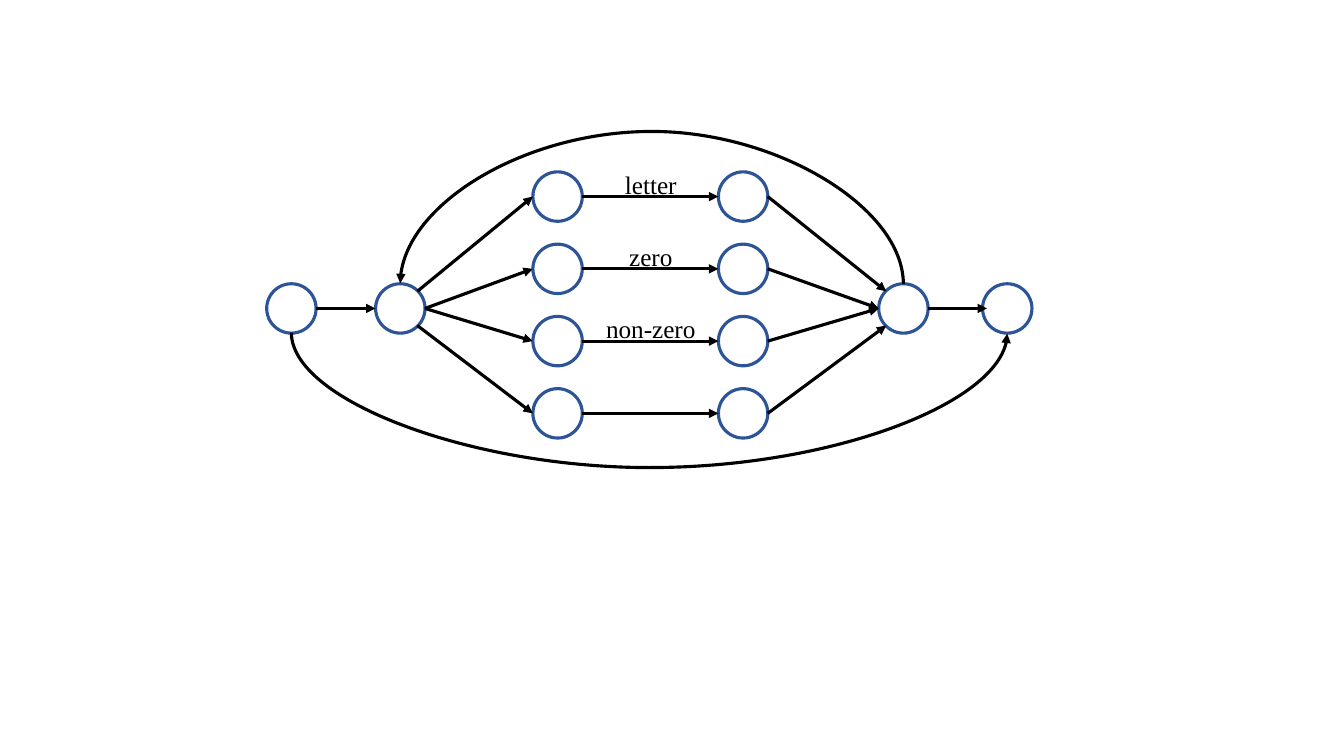
import pptx
import pptx.util
import pptx.dml.color
import pptx.enum.shapes
import pptx.enum.text
import pptx.oxml
import pptx.oxml.ns
from pptx.util import Inches

BLACK, BLUE, WHITE = "000000", "2D5496", "FFFFFF"
SIZE = 0.49
HALF = SIZE / 2
DIAG = 0.17  # offset of a point at 45 degrees on a state's rim
MID = 3.06
TOP, STEP = 1.95, 0.717
START, ENTRY, LEFT, RIGHT, EXIT, FINAL = 2.89, 3.97, 5.53, 7.37, 8.96, 9.99
LABELS = ["letter", "zero", "non-zero", ""]
KINDS = pptx.enum.shapes.MSO_CONNECTOR


def color(code):
    return pptx.dml.color.RGBColor.from_string(code)


def state(slide, x, y):
    """Draw a state circle centred on x, y."""
    oval = slide.shapes.add_shape(
        pptx.enum.shapes.MSO_SHAPE.OVAL,
        Inches(x - HALF), Inches(y - HALF), Inches(SIZE), Inches(SIZE))
    oval.shadow.inherit = False
    oval.fill.solid()
    oval.fill.fore_color.rgb = color(WHITE)
    oval.line.color.rgb = color(BLUE)
    oval.line.width = pptx.util.Pt(2.25)


def arrow(slide, x1, y1, x2, y2, kind=KINDS.STRAIGHT):
    link = slide.shapes.add_connector(
        kind, Inches(x1), Inches(y1), Inches(x2), Inches(y2))
    link.line.color.rgb = color(BLACK)
    link.line.width = pptx.util.Pt(2.25)
    tail = pptx.oxml.parse_xml(
        '<a:tailEnd %s type="triangle"/>' % pptx.oxml.ns.nsdecls("a"))
    link.line._get_or_add_ln().append(tail)
    link._element.spPr.append(pptx.oxml.parse_xml(
        "<a:effectLst %s/>" % pptx.oxml.ns.nsdecls("a")))
    return link


def bow(slide, x1, x2, y, depth):
    """Arc from x1 to x2: below y when going right, above when going left.

    The curve is a thin upright connector turned by 270 degrees, whose
    adjustment is the depth as a share of its thickness.
    """
    thick = 0.01
    span, mid = x2 - x1, (x1 + x2) / 2
    side = thick / 2 if span > 0 else -thick / 2
    link = arrow(slide, mid + side, y - span / 2, mid - side, y + span / 2,
                 KINDS.CURVE)
    props = link._element.spPr
    props.find(pptx.oxml.ns.qn("a:xfrm")).set("rot", str(270 * 60000))
    guides = props.find(".//" + pptx.oxml.ns.qn("a:avLst"))
    guides.append(pptx.oxml.parse_xml(
        '<a:gd %s name="adj1" fmla="val %d"/>'
        % (pptx.oxml.ns.nsdecls("a"), round(depth / thick * 100000))))


def label(slide, text, y):
    box = slide.shapes.add_textbox(
        Inches(5.84), Inches(y - 0.32), Inches(1.23), Inches(0.4))
    box.text_frame.word_wrap = True
    para = box.text_frame.paragraphs[0]
    para.alignment = pptx.enum.text.PP_ALIGN.CENTER
    run = para.add_run()
    run.text = text
    run.font.name = "Times New Roman"
    run.font.size = pptx.util.Pt(18)
    run.font.color.rgb = color(BLACK)


def branch(slide, row, text):
    """Draw one alternative between the entry and exit states."""
    y = TOP + STEP * row
    if text:
        label(slide, text, y)
    state(slide, LEFT, y)
    state(slide, RIGHT, y)
    arrow(slide, LEFT + HALF, y, RIGHT - HALF, y)
    dx, dy = {0: (DIAG, -DIAG), 3: (DIAG, DIAG)}.get(row, (HALF, 0))
    arrow(slide, ENTRY + dx, MID + dy, LEFT - HALF, y)
    arrow(slide, RIGHT + HALF, y, EXIT - dx, MID + dy)


def main():
    deck = pptx.Presentation()
    deck.slide_width, deck.slide_height = Inches(13.33), Inches(7.5)
    slide = deck.slides.add_slide(deck.slide_layouts[6])
    for x in (START, ENTRY, EXIT, FINAL):
        state(slide, x, MID)
    for row, text in enumerate(LABELS):
        branch(slide, row, text)
    arrow(slide, START + HALF, MID, ENTRY - HALF, MID)
    arrow(slide, EXIT + HALF, MID, FINAL - 0.2, MID)
    bow(slide, START, FINAL, MID + HALF, 1.36)
    bow(slide, EXIT, ENTRY, MID - HALF, 1.54)
    deck.save("out.pptx")


if __name__ == "__main__":
    main()
